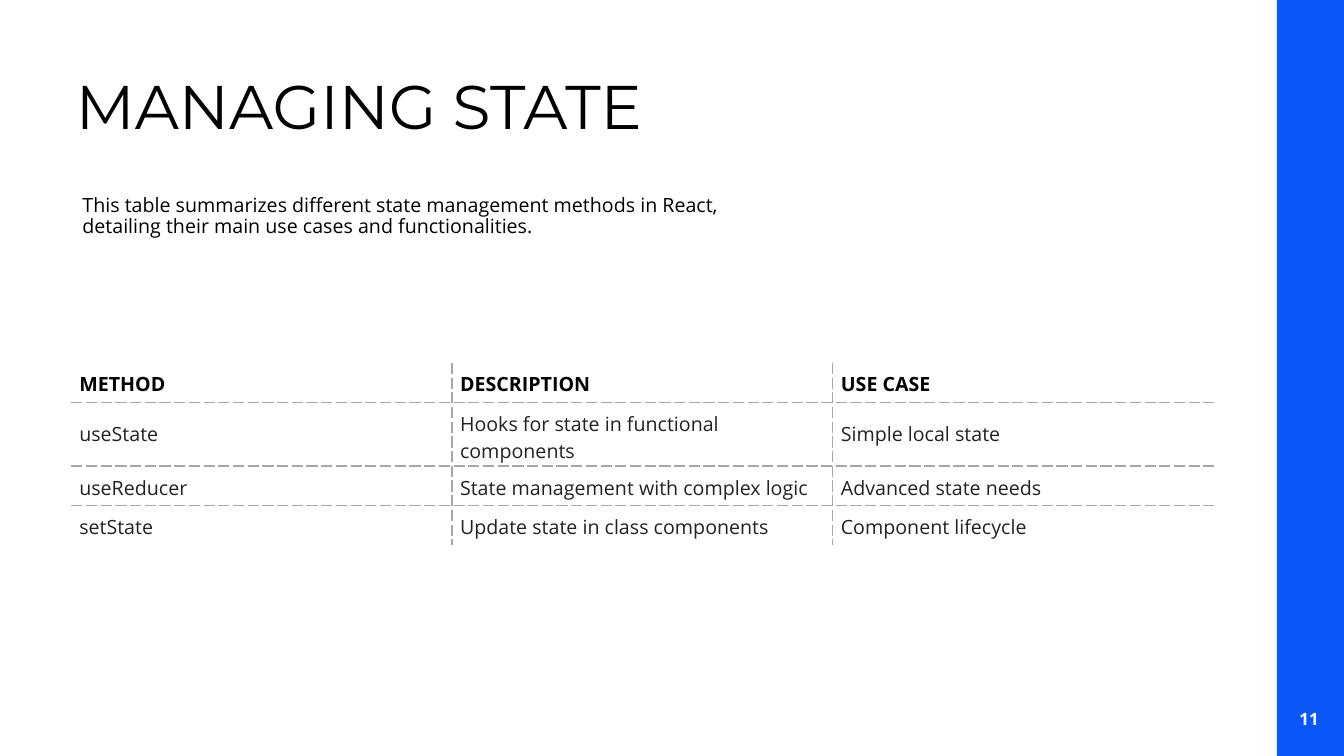
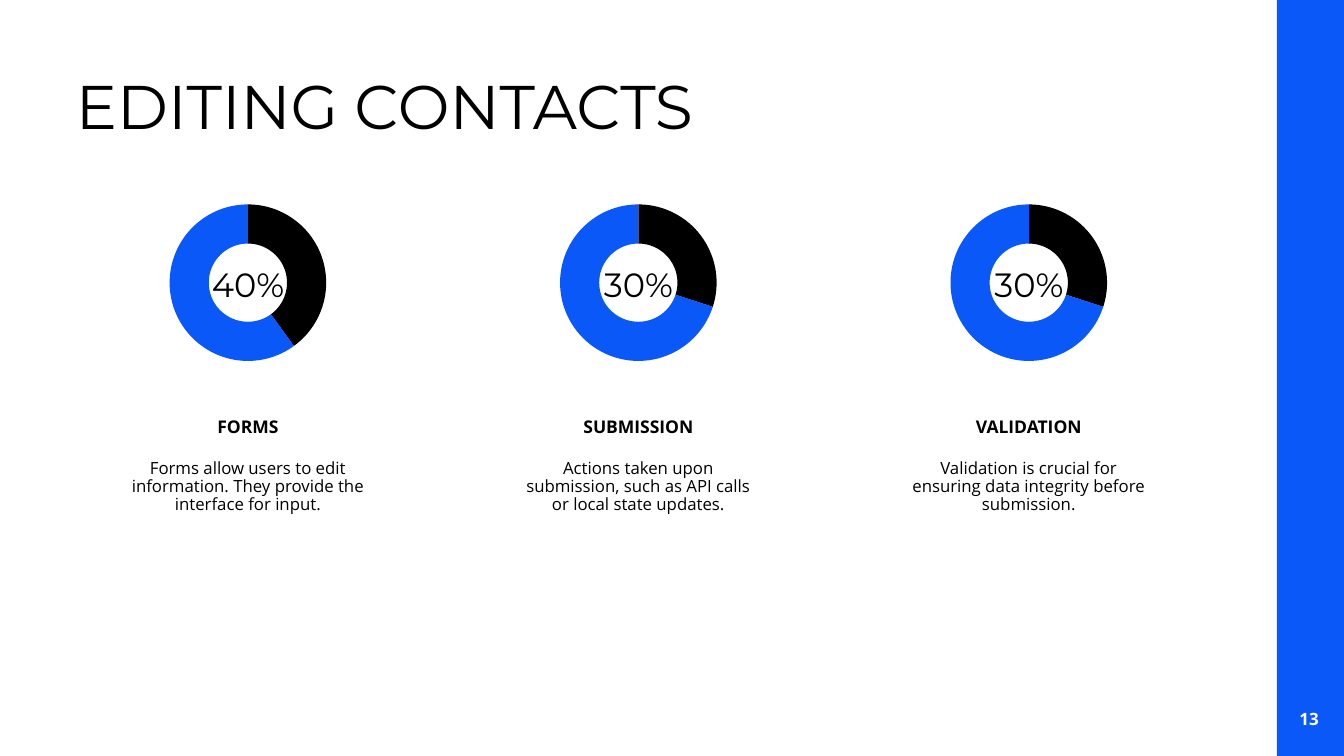
"""Build two slides on state management and contact editing."""
from lxml.etree import SubElement
from pptx import Presentation
from pptx.chart.data import CategoryChartData
from pptx.dml.color import RGBColor
from pptx.enum.chart import XL_CHART_TYPE as ChartType
from pptx.enum.shapes import MSO_SHAPE as Preset
from pptx.enum.text import MSO_ANCHOR as Anchor, MSO_AUTO_SIZE as AutoSize, PP_ALIGN as Align
from pptx.oxml import parse_xml
from pptx.oxml.ns import nsdecls, qn
from pptx.util import Inches, Pt

rgb = RGBColor.from_string
BLUE, BLACK, WHITE, INK, RULE = "0958F7", "000000", "FFFFFF", "232220", "A6A6A6"
HEAD_FONT, BODY_FONT = "Montserrat", "Open Sans"

deck = Presentation()
deck.slide_width, deck.slide_height = Inches(13.33), Inches(7.5)
COLUMN, ROW = deck.slide_width / 20, deck.slide_height / 20


def area(left, top, width, height):
    """Turn grid columns and rows into lengths."""
    return int(left * COLUMN), int(top * ROW), int(width * COLUMN), int(height * ROW)


def write(frame, text, size, font=BODY_FONT, color=BLACK, bold=False,
          align=Align.LEFT, anchor=Anchor.TOP, spacing=None):
    """Fill a text frame with one formatted paragraph."""
    frame.text = text
    frame.word_wrap = True
    frame.vertical_anchor = anchor
    para = frame.paragraphs[0]
    para.alignment = align
    para.line_spacing = spacing
    style = para.runs[0].font
    style.name, style.size, style.bold = font, Pt(size), bold
    style.color.rgb = rgb(color)


layout = deck.slide_layouts.get_by_name("Title Only")
heading = layout.placeholders[0]
heading.left, heading.top, heading.width, heading.height = area(0.98, 1.65, 17, 2.77)

pages = []
for title, number in (("MANAGING STATE", "11"), ("EDITING CONTACTS", "13")):
    page = deck.slides.add_slide(layout)
    frame = page.shapes.title.text_frame
    write(frame, title, 44, HEAD_FONT)
    frame.auto_size = AutoSize.NONE
    box = page.shapes.add_textbox(*area(18.98, 18.5, 1, 1.04))
    write(box.text_frame, number, 12.1, color=WHITE, bold=True,
          align=Align.CENTER, anchor=Anchor.MIDDLE)
    pages.append(page)
state_page, contacts_page = pages

band = state_page.shapes.add_shape(Preset.RECTANGLE, *area(19, 0, 1, 20))
band.shadow.inherit = False
band.fill.solid()
band.fill.fore_color.rgb = rgb(BLUE)
band.line.fill.background()
layout.shapes.element.insert(2, band.element)

intro = state_page.shapes.add_textbox(*area(1.08, 4.59, 9.9, 2.29))
write(intro.text_frame,
      "This table summarizes different state management methods in React, "
      "detailing their main use cases and functionalities.",
      14, anchor=Anchor.MIDDLE, spacing=0.87)

methods = (
    ("METHOD", "DESCRIPTION", "USE CASE"),
    ("useState", "Hooks for state in functional components", "Simple local state"),
    ("useReducer", "State management with complex logic", "Advanced state needs"),
    ("setState", "Update state in class components", "Component lifecycle"),
)
last_row, last_column = len(methods) - 1, len(methods[0]) - 1
table = state_page.shapes.add_table(
    len(methods), len(methods[0]), *area(1.06, 9.6, 17, 4.82)).table
table.first_row = table.horz_banding = False
for row, height in zip(table.rows, (0.39, 0.63, 0.39, 0.39)):
    row.height = Inches(height)
for r, record in enumerate(methods):
    for c, text in enumerate(record):
        cell = table.cell(r, c)
        write(cell.text_frame, text, 14, color=INK if r else BLACK, bold=r == 0)
        cell.vertical_anchor = Anchor.MIDDLE
        cell.margin_left = cell.margin_right = Inches(0.08)
        cell.margin_top = cell.margin_bottom = Inches(0.08)
        properties = cell._tc.get_or_add_tcPr()
        inner_sides = {"a:lnL": c > 0, "a:lnR": c < last_column,
                       "a:lnT": r > 0, "a:lnB": r < last_row}
        for side, inner in inner_sides.items():
            border = SubElement(properties, qn(side), w=str(Pt(1) if inner else 0))
            if inner:
                fill = SubElement(border, qn("a:solidFill"))
                SubElement(fill, qn("a:srgbClr"), val=RULE)
                SubElement(border, qn("a:prstDash"), val="sysDash")
            else:
                SubElement(border, qn("a:noFill"))
        cell.fill.background()

steps = (
    (40, "FORMS",
     "Forms allow users to edit information. They provide the interface for input."),
    (30, "SUBMISSION",
     "Actions taken upon submission, such as API calls or local state updates."),
    (30, "VALIDATION",
     "Validation is crucial for ensuring data integrity before submission."),
)
plot_share = {"x": 0.15, "y": 0.075, "w": 0.7, "h": 0.85}
for index, (percent, name, description) in enumerate(steps):
    center = 3.69 + 5.81 * index
    data = CategoryChartData()
    data.categories = ["1", "2"]
    data.add_series("Series 1", (percent, 100 - percent))
    chart = contacts_page.shapes.add_chart(
        ChartType.DOUGHNUT, *area(center - 1.665, 5.04, 3.33, 4.88), data).chart
    chart.has_legend = chart.has_title = False
    chart.font.name, chart.font.size = BODY_FONT, Pt(10)
    chart.font.color.rgb = rgb(BLACK)
    for position, color in enumerate((BLACK, BLUE)):
        slice_format = chart.plots[0].series[0].points[position].format
        slice_format.fill.solid()
        slice_format.fill.fore_color.rgb = rgb(color)
        slice_format.line.fill.background()
    plot_area = next(chart.element.iter(qn("c:plotArea")))
    for automatic in plot_area.findall(qn("c:layout")):
        plot_area.remove(automatic)
    placement = parse_xml(f"<c:layout {nsdecls('c')}><c:manualLayout/></c:layout>")
    manual = placement[0]
    SubElement(manual, qn("c:layoutTarget"), val="inner")
    for key in "xy":
        SubElement(manual, qn(f"c:{key}Mode"), val="edge")
    for key, share in plot_share.items():
        SubElement(manual, qn(f"c:{key}"), val=str(share))
    plot_area.insert(0, placement)
    next(chart.element.iter(qn("c:holeSize"))).set("val", "90")

    captions = (
        (f"{percent}%", 1.5, 6.85, 1.33, 24, HEAD_FONT, False, Anchor.MIDDLE, None),
        (name, 3.92, 10.29, 1.41, 12.5, BODY_FONT, True, Anchor.BOTTOM, None),
        (description, 3.92, 12.03, 6.99, 12, BODY_FONT, False, Anchor.TOP, 0.9),
    )
    for text, width, top, height, size, font, bold, anchor, spacing in captions:
        box = contacts_page.shapes.add_textbox(*area(center - width / 2, top, width, height))
        write(box.text_frame, text, size, font, bold=bold,
              align=Align.CENTER, anchor=anchor, spacing=spacing)

deck.save("out.pptx")
